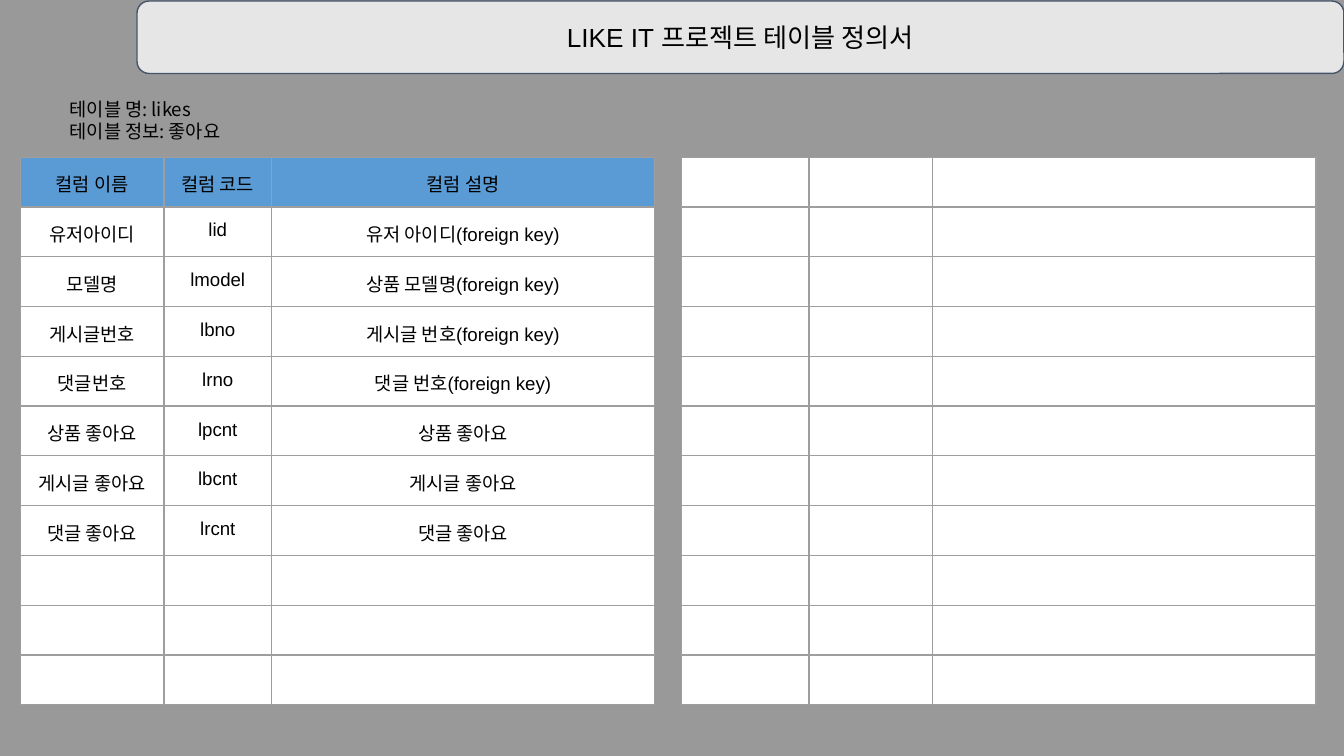
import pptx
import pptx.util
import pptx.dml.color
import pptx.enum.shapes
import pptx.enum.text
import pptx.oxml.ns
from lxml import etree

Cm, Pt = pptx.util.Cm, pptx.util.Pt
ALIGN = pptx.enum.text.PP_ALIGN
SHAPES = pptx.enum.shapes.MSO_SHAPE

COLORS = {
    "back": "999999", "banner": "E7E6E6", "edge": "44546A", "text": "000000",
    "head": "5B9BD5", "cell": "FFFFFF", "grid": "9E9E9E",
}
TITLE = "LIKE IT 프로젝트 테이블 정의서"
INFO = "테이블 명: likes\n테이블 정보: 좋아요"
HEAD = ("컬럼 이름", "컬럼 코드", "컬럼 설명")
FIELDS = [
    ("유저아이디", "lid", "유저 아이디(foreign key)"),
    ("모델명", "lmodel", "상품 모델명(foreign key)"),
    ("게시글번호", "lbno", "게시글 번호(foreign key)"),
    ("댓글번호", "lrno", "댓글 번호(foreign key)"),
    ("상품 좋아요", "lpcnt", "상품 좋아요"),
    ("게시글 좋아요", "lbcnt", "게시글 좋아요"),
    ("댓글 좋아요", "lrcnt", "댓글 좋아요"),
]
ROWS = 11
TOP, HIGH = 2.97, 10.36
INSET = 0.25
# left edge, column widths, rows of text, whether the first row is a header
TABLES = [
    (0.38, (2.72, 2.03, 7.24), [HEAD] + FIELDS, True),
    (12.88, (2.41, 2.34, 7.24), [], False),
]


def color(name):
    return pptx.dml.color.RGBColor.from_string(COLORS[name])


def paint(fill, name):
    fill.solid()
    fill.fore_color.rgb = color(name)


def inset(item):
    """Give a cell or text frame the same margin on all sides."""
    item.margin_left = item.margin_right = Cm(INSET)
    item.margin_top = item.margin_bottom = Cm(INSET)


def write(frame, text, size, font="Arial", align=ALIGN.CENTER):
    frame.text = text
    for para in frame.paragraphs:
        para.alignment = align
        for run in para.runs:
            run.font.size = Pt(size)
            run.font.name = font
            run.font.color.rgb = color("text")


def border(cell):
    props = cell._tc.get_or_add_tcPr()
    qn = pptx.oxml.ns.qn
    for spot, side in enumerate(("a:lnL", "a:lnR", "a:lnT", "a:lnB")):
        line = etree.Element(qn(side), w=str(Pt(0.75)))
        fill = etree.SubElement(line, qn("a:solidFill"))
        etree.SubElement(fill, qn("a:srgbClr"), val=COLORS["grid"])
        props.insert(spot, line)


def add_grid(slide, left, widths, rows, headed):
    frame = slide.shapes.add_table(
        ROWS, len(widths), Cm(left), Cm(TOP), Cm(sum(widths)), Cm(HIGH))
    table = frame.table
    table.first_row = table.horz_banding = False
    for col, width in zip(table.columns, widths):
        col.width = Cm(width)
    for r, row in enumerate(table.rows):
        row.height = Cm(HIGH / ROWS)
        for c, cell in enumerate(row.cells):
            inset(cell)
            paint(cell.fill, "head" if headed and r == 0 else "cell")
            border(cell)
            if r < len(rows):
                write(cell.text_frame, rows[r][c], 10)
            else:
                # keeps an empty row from growing to the default text size
                para = cell.text_frame.paragraphs[0]._p
                para.get_or_add_endParaRPr().set("sz", "1000")


def main():
    deck = pptx.Presentation()
    deck.slide_width, deck.slide_height = Cm(25.4), Cm(14.29)
    slide = deck.slides.add_slide(deck.slide_layouts[6])
    paint(slide.background.fill, "back")

    banner = slide.shapes.add_shape(
        SHAPES.ROUNDED_RECTANGLE, Cm(2.59), Cm(0.02), Cm(22.81), Cm(1.37))
    banner.shadow.inherit = False
    paint(banner.fill, "banner")
    banner.line.color.rgb = color("edge")
    banner.line.width = Pt(0.75)
    inset(banner.text_frame)
    banner.text_frame.vertical_anchor = pptx.enum.text.MSO_ANCHOR.MIDDLE
    write(banner.text_frame, TITLE, 14)

    info = slide.shapes.add_textbox(Cm(1.07), Cm(1.6), Cm(11.33), Cm(1.37))
    info.text_frame.word_wrap = True
    inset(info.text_frame)
    write(info.text_frame, INFO, 10, "Noto Sans CJK KR", ALIGN.LEFT)

    for spec in TABLES:
        add_grid(slide, *spec)
    deck.save("out.pptx")


if __name__ == "__main__":
    main()
